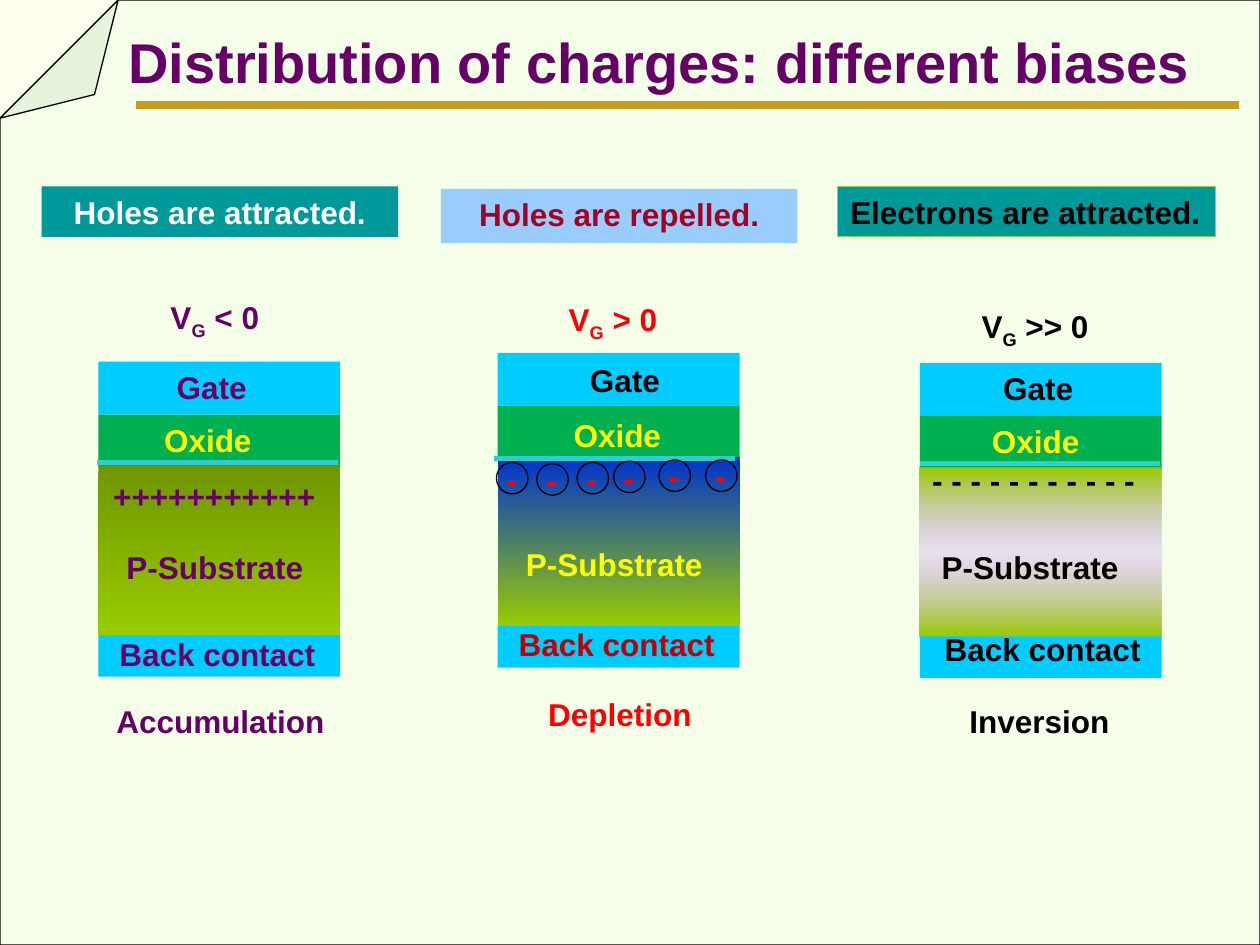
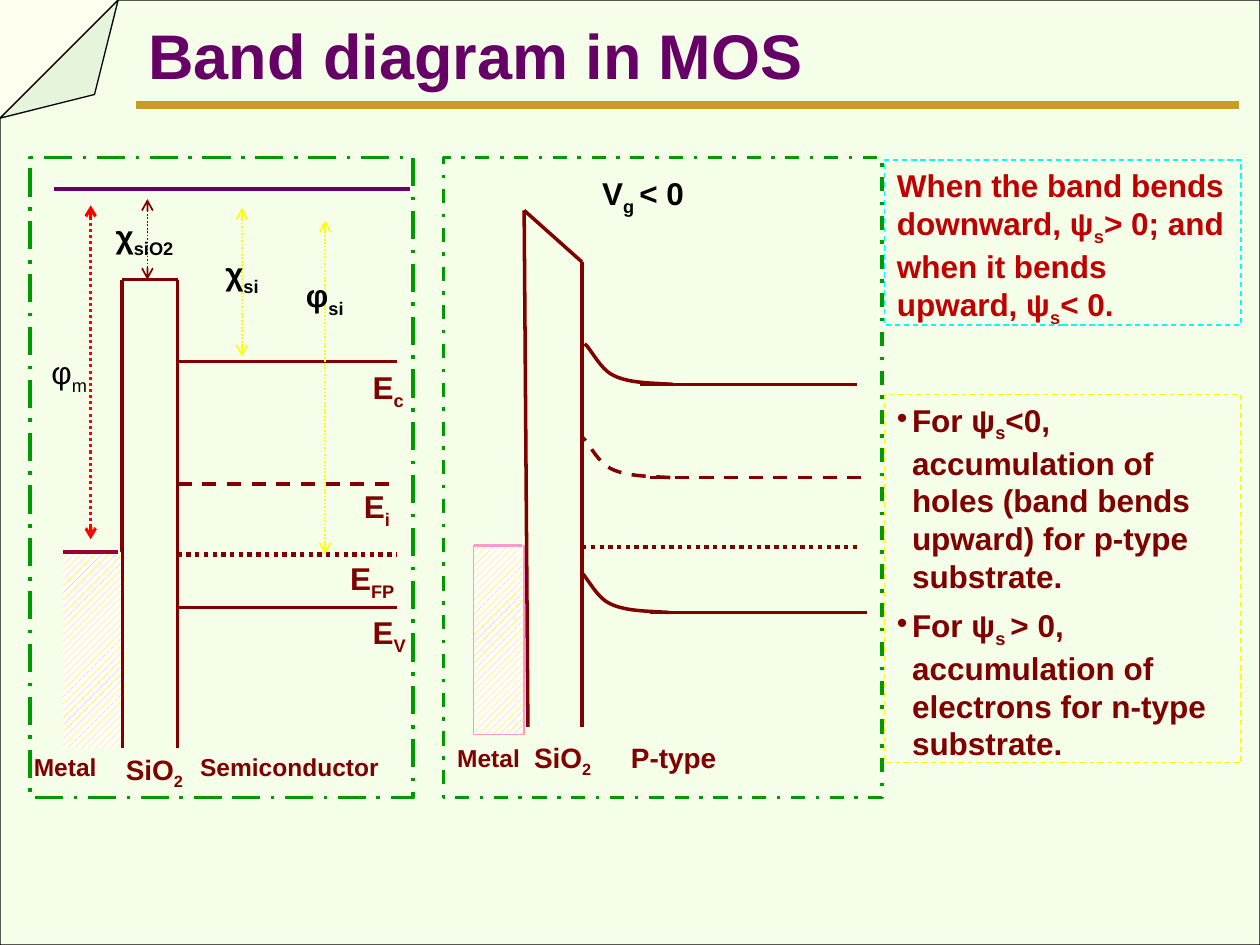
from lxml import etree
from pptx import Presentation
from pptx.dml.color import RGBColor
from pptx.enum.dml import MSO_LINE, MSO_PATTERN
from pptx.enum.shapes import MSO_CONNECTOR, MSO_SHAPE
from pptx.enum.text import MSO_ANCHOR, PP_ALIGN
from pptx.oxml.ns import qn
from pptx.util import Inches, Pt

RECT, OVAL, FOLD = MSO_SHAPE.RECTANGLE, MSO_SHAPE.OVAL, MSO_SHAPE.FOLDED_CORNER
STRAIGHT = MSO_CONNECTOR.STRAIGHT
DASH, DOT = MSO_LINE.DASH, MSO_LINE.ROUND_DOT
DASH_DOT, LONG_DOT = MSO_LINE.DASH_DOT, MSO_LINE.LONG_DASH_DOT
HATCH = MSO_PATTERN.WIDE_UPWARD_DIAGONAL
LEFT, MID = PP_ALIGN.LEFT, PP_ALIGN.CENTER
TOP = MSO_ANCHOR.TOP

FONT = "Arial"
PURPLE, MAROON, BLACK = "660066", "800000", "000000"
YELLOW, RED, CYAN, GREEN = "FFFF00", "FF0000", "00CCFF", "00B050"
TEAL, LIME = "009999", "99CC00"


def rgb(code):
    return RGBColor.from_string(code)


def stroke(line, color, width, dash=None):
    if color is None:
        line.fill.background()
        return
    line.color.rgb = rgb(color)
    line.width = Pt(width)
    if dash:
        line.dash_style = dash


def fade(shape, stops):
    """Fill from top to bottom with (position, colour, opacity) stops in percent."""
    shape.fill.gradient()
    shape.fill.gradient_angle = 270
    stop_list = shape._element.spPr.find(qn("a:gradFill")).find(qn("a:gsLst"))
    for old in list(stop_list):
        stop_list.remove(old)
    for place, color, alpha in stops:
        stop = etree.SubElement(stop_list, qn("a:gs"), pos=str(place * 1000))
        tone = etree.SubElement(stop, qn("a:srgbClr"), val=color)
        if alpha < 100:
            etree.SubElement(tone, qn("a:alpha"), val=str(alpha * 1000))


def write(shape, lines, size, color, bold=True, align=LEFT, bullet=False, gaps=(0, 0)):
    """Fill a shape with paragraphs; parts between underscores are subscripts."""
    frame = shape.text_frame
    frame.word_wrap = True
    frame.vertical_anchor = TOP
    for i, line in enumerate(lines):
        par = frame.paragraphs[0] if i == 0 else frame.add_paragraph()
        par.alignment = align
        par.space_before, par.space_after = Pt(gaps[0]), Pt(gaps[1])
        if bullet:
            props = par._p.get_or_add_pPr()
            props.set("marL", str(Inches(0.12)))
            props.set("indent", str(Inches(-0.12)))
            etree.SubElement(props, qn("a:buChar"), char="•")
        font = par.font
        font.name, font.size, font.bold = FONT, Pt(size), bold
        font.color.rgb = rgb(color)
        for j, part in enumerate(line.split("_")):
            if part:
                run = par.add_run()
                run.text = part
                if j % 2:
                    run._r.get_or_add_rPr().set("baseline", "-25000")


class Region:
    """Draws parts in inches from its own left top corner."""

    def __init__(self, shapes, left=0, top=0):
        self.shapes, self.left, self.top = shapes, left, top

    def spot(self, x, y):
        return Inches(self.left + x), Inches(self.top + y)

    def shape(self, box, fill=None, line=None, width=0.75, dash=None, kind=RECT):
        x, y, w, h = box
        item = self.shapes.add_shape(kind, *self.spot(x, y), Inches(w), Inches(h))
        item.shadow.inherit = False
        if fill:
            item.fill.solid()
            item.fill.fore_color.rgb = rgb(fill)
        else:
            item.fill.background()
        stroke(item.line, line, width, dash)
        return item

    def hatch(self, box, line=None):
        fill = self.shape(box, line=line).fill
        fill.patterned()
        fill.pattern = HATCH
        fill.fore_color.rgb, fill.back_color.rgb = rgb("FFCC00"), rgb("FFFFFF")

    def text(self, text, x, y, w, size=18, color=BLACK, bold=True, align=LEFT):
        box = self.shapes.add_textbox(*self.spot(x, y), Inches(w), Inches(0.4))
        write(box, [text], size, color, bold, align)

    def line(self, x1, y1, x2, y2, color=MAROON, width=2, dash=None, arrows=False):
        item = self.shapes.add_connector(STRAIGHT, *self.spot(x1, y1), *self.spot(x2, y2))
        stroke(item.line, color, width, dash)
        props = item._element.spPr
        etree.SubElement(props, qn("a:effectLst"))
        if arrows:
            for end in ("a:headEnd", "a:tailEnd"):
                etree.SubElement(props.find(qn("a:ln")), qn(end), type="arrow")

    def bend(self, x, y, dash=None):
        """Draw the band edge that rises to the left from (x, y)."""
        arcs = [((0, 0), (-0.18, -0.01), (-0.35, -0.01), (-0.47, -0.07)),
                ((-0.47, -0.07), (-0.58, -0.12), (-0.66, -0.3), (-0.7, -0.32))]
        points = []
        for arc in arcs:
            for step in range(1, 13):
                t = step / 12
                parts = ((1 - t) ** 3, 3 * t * (1 - t) ** 2, 3 * t * t * (1 - t), t ** 3)
                dx, dy = (sum(k * p[axis] for k, p in zip(parts, arc)) for axis in (0, 1))
                points.append(self.spot(x + dx, y + dy))
        path = self.shapes.build_freeform(*self.spot(x, y))
        path.add_line_segments(points, close=False)
        item = path.convert_to_shape()
        item.shadow.inherit = False
        item.fill.background()
        stroke(item.line, MAROON, 2, dash)


def group(slide, left, top):
    return Region(slide.shapes.add_group_shape().shapes, left, top)


def start(deck, title, x, y, w, size):
    """Add a slide with the folded page, gold rule and title."""
    slide = deck.slides.add_slide(deck.slide_layouts[6])
    back = slide.background.fill
    back.solid()
    back.fore_color.rgb = rgb("FFFEEF")
    page = Region(slide.shapes)
    page.line(1.08, 0.83, 9.83, 0.83, "C88500", 4.5)
    sheet = page.shape((0, 0, 10, 7.5), "CCFFCC", BLACK, kind=FOLD)
    sheet.rotation = 180
    props = sheet._element.spPr
    guides = props.find(qn("a:prstGeom")).find(qn("a:avLst"))
    etree.SubElement(guides, qn("a:gd"), name="adj", fmla="val 12500")
    tone = props.find(qn("a:solidFill")).find(qn("a:srgbClr"))
    etree.SubElement(tone, qn("a:alpha"), val="18000")
    page.text(title, x, y, w, size, PURPLE)
    return slide, page


def stack(slide, left, top, stops, seam, labels):
    """Draw gate, oxide, substrate and back contact with their labels."""
    area = group(slide, left, top)
    wide = 1.92
    area.shape((0, 0, wide, 0.42), CYAN)
    area.shape((0, 0.42, wide, 0.42), GREEN)
    fade(area.shape((0, 0.83, wide, 1.34)), stops)
    area.shape((0, 2.17, wide, 0.33), CYAN)
    for text, x, y, w, color in labels:
        area.text(text, x, y, w, color=color, align=MID)
    x, y = seam
    area.line(x, y, x + 1.91, y, "33CCCC", 3)
    return area


def charges(deck):
    slide, page = start(deck, "Distribution of charges: different biases", 0.92, 0.17, 8.92, 32)

    area = stack(slide, 0.78, 2.87, [(0, "709600", 100), (100, LIME, 100)], (-0.01, 0.8), [
        ("P-Substrate", 0.05, 1.43, 1.75, PURPLE),
        ("Back contact", -0.03, 2.12, 1.95, PURPLE),
        ("Oxide", 0.33, 0.42, 1.08, YELLOW),
        ("Gate", 0.36, 0, 1.08, PURPLE),
        ("Accumulation", -0.03, 2.65, 2, PURPLE),
        ("V_G_ < 0", 0.34, -0.55, 1.17, PURPLE)])
    area.text("+" * 11, 0.02, 0.87, 1.83, color=PURPLE)

    stops = [(0, LIME, 100), (50, "CC99FF", 29), (100, LIME, 100)]
    area = stack(slide, 7.3, 2.88, stops, (0, 0.8), [
        ("P-Substrate", 0, 1.42, 1.75, BLACK),
        ("Back contact", 0, 2.07, 1.95, BLACK),
        ("Oxide", 0.38, 0.42, 1.08, YELLOW),
        ("Gate", 0.4, 0, 1.08, BLACK),
        ("Inversion", -0.05, 2.64, 2, BLACK),
        ("V_G_ >> 0", 0.33, -0.49, 1.17, BLACK)])
    area.text(" ".join("-" * 11), 0, 0.73, 1.83)

    area = stack(slide, 3.95, 2.8, [(0, "0033CC", 100), (100, LIME, 100)], (-0.03, 0.84), [
        ("P-Substrate", 0.05, 1.48, 1.75, YELLOW),
        ("Back contact", -0.03, 2.11, 1.95, "C00000"),
        ("Oxide", 0.41, 0.45, 1.08, YELLOW),
        ("Gate", 0.47, 0.02, 1.08, BLACK),
        ("Depletion", -0.03, 2.67, 2, RED),
        ("V_G_ > 0", 0.33, -0.47, 1.17, RED)])
    for x, y in [(-0.01, 0.87), (0.31, 0.88), (0.63, 0.87),
                 (0.92, 0.86), (1.28, 0.85), (1.65, 0.85)]:
        area.text("-", x - 0.02, y - 0.07, 0.33, color=RED)
        area.shape((x, y, 0.25, 0.25), line=BLACK, kind=OVAL)

    for text, box, fill, edge, color, align in [
            ("Holes are attracted.", (0.33, 1.48, 2.83, 0.4), TEAL, None, "FFFFFF", MID),
            ("Holes are repelled.", (3.5, 1.5, 2.83, 0.43), "99CCFF", None, "A50021", MID),
            ("Electrons are attracted.", (6.65, 1.48, 3, 0.4), TEAL, "92D050", BLACK, LEFT)]:
        write(page.shape(box, fill, edge), [text], 18, color, align=align)


def flat(slide, left, top):
    """Band diagram before contact."""
    area = group(slide, left, top)
    area.line(0.19, 0.25, 3.01, 0.25, PURPLE)
    for text, x, w, size in [("Metal", -0.07, 0.73, 14), ("SiO_2_", 0.66, 0.73, 16),
                             ("Semiconductor", 1.25, 1.67, 14)]:
        area.text(text, x, 4.67, w, size, MAROON)
    for x in (0.73, 1.17):
        area.line(x, 0.97, x, 4.69)
    area.line(0.73, 0.97, 1.17, 0.97)
    for y, width, dash in [(1.62, 2, None), (3.57, 2, None), (2.59, 2, DASH), (3.15, 2.5, DOT)]:
        area.line(1.17, y, 2.91, y, width=width, dash=dash)
    for x, y1, y2, color, width in [(0.93, 0.33, 0.97, MAROON, 1), (1.68, 0.4, 1.58, YELLOW, 1),
                                    (2.34, 0.5, 3.15, YELLOW, 1), (0.48, 0.38, 3.03, RED, 1.75)]:
        area.line(x, y1, x, y2, color, width, DOT, arrows=True)
    area.text("φ_m_", 0.02, 1.5, 0.58, bold=False, align=MID)
    for text, x, y, w, color in [
            ("φ_si_", 2.09, 0.89, 0.67, BLACK), ("E_c_", 2.62, 1.62, 0.47, MAROON),
            ("E_V_", 2.62, 3.57, 0.47, MAROON), ("E_FP_", 2.44, 3.14, 0.6, MAROON),
            ("E_i_", 2.55, 2.57, 0.47, MAROON), ("χ_si_", 1.45, 0.72, 0.6, BLACK),
            ("χ_siO2_", 0.58, 0.42, 0.86, BLACK)]:
        area.text(text, x, y, w, color=color)
    area.hatch((0.26, 3.13, 0.46, 1.56))
    area.line(0.26, 3.13, 0.7, 3.13, "990033")
    area.shape((0, 0, 3.04, 5.08), line="009900", width=2, dash=LONG_DOT)


def bent(slide, left, top):
    """Band diagram under a negative gate voltage."""
    area = group(slide, left, top)
    for text, x, y, w, size in [("Metal", 0.01, 4.6, 0.83, 14), ("SiO_2_", 0.62, 4.58, 0.83, 16),
                                ("P-type", 1.39, 4.58, 1, 16)]:
        area.text(text, x, y, w, size, MAROON)
    area.text("V_g _< 0", 1.16, 0.08, 0.89)
    area.hatch((0.24, 3.08, 0.4, 1.5), "FF99CC")
    area.line(0.24, 3.08, 0.62, 3.08, "FF99CC")
    area.line(1.1, 0.83, 1.1, 4.52)
    area.line(0.64, 0.42, 0.67, 4.52)
    area.line(1.1, 0.83, 0.64, 0.42)
    area.line(1.1, 3.09, 3.31, 3.09, width=2.5, dash=DOT)
    for x, y, curve, dash in [(1.64, 2.54, 1.8, DASH), (1.56, 1.8, 1.82, None),
                              (1.64, 3.61, 1.79, None)]:
        area.line(x, y, x + 1.72, y, dash=dash)
        area.bend(curve, y, dash)
    area.shape((0, 0, 3.48, 5.08), line="009900", width=2, dash=DASH_DOT)


def bands(deck):
    slide, page = start(deck, "Band diagram in MOS", 1.08, 0.08, 5.67, 36)
    flat(slide, 0.24, 1.25)
    bent(slide, 3.52, 1.25)
    cases = page.shape((7.02, 3.13, 2.83, 2.92), line=YELLOW, dash=DASH)
    write(cases, [
        "For ψ_s_<0, accumulation of holes (band bends upward) for p-type substrate.",
        "For ψ_s _> 0, accumulation of electrons for n-type substrate."],
        18, MAROON, bullet=True, gaps=(3.6, 2.7))
    rule = page.shape((7.02, 1.27, 2.83, 1.31), line="00FFFF", dash=DASH)
    write(rule, ["When the band bends downward, ψ_s_> 0; and when it bends upward, ψ_s_< 0."],
          18, "C00000", gaps=(3.6, 2.7))


def main():
    deck = Presentation()
    deck.slide_width, deck.slide_height = Inches(10), Inches(7.5)
    charges(deck)
    bands(deck)
    deck.save("out.pptx")


if __name__ == "__main__":
    main()
